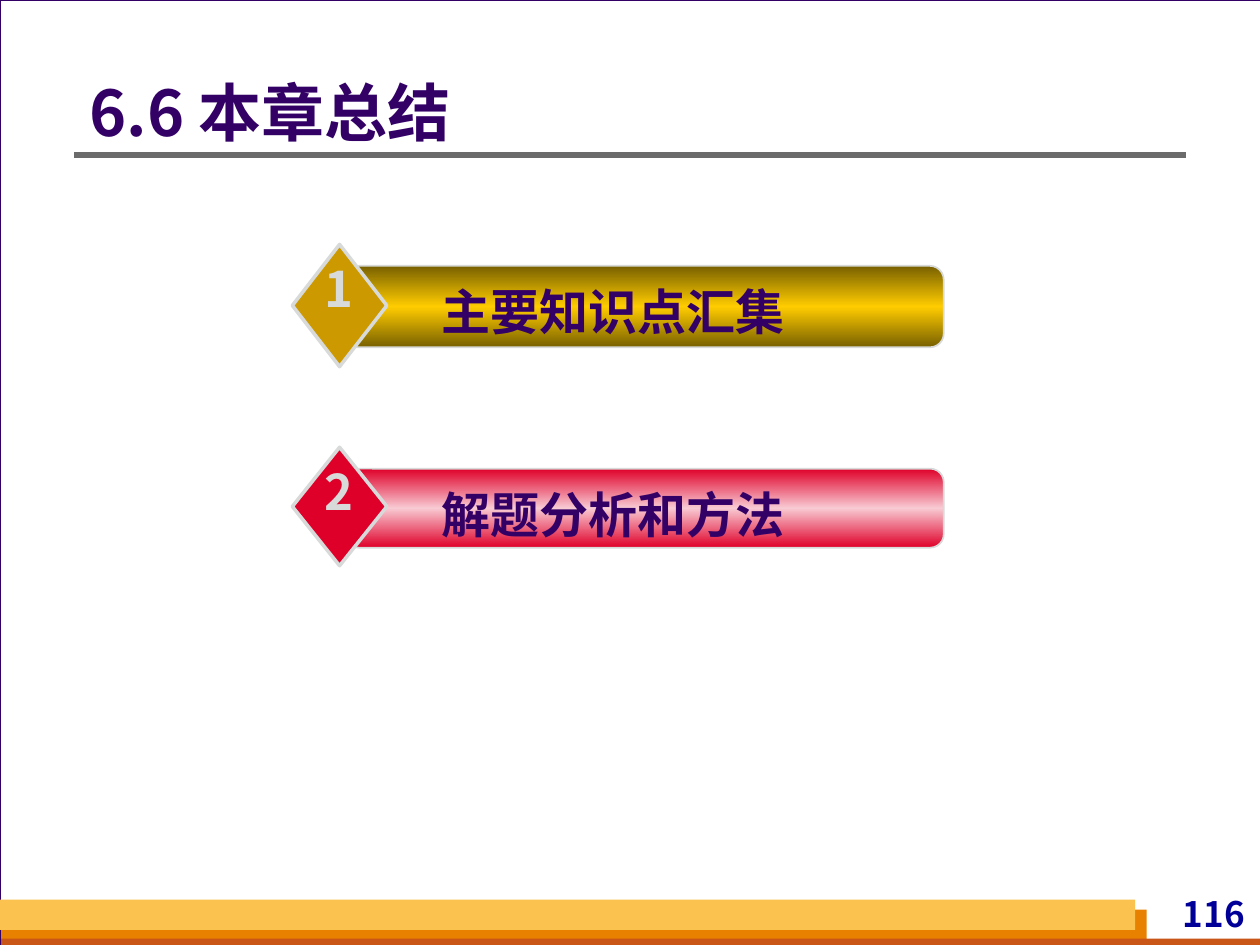
from copy import deepcopy

from lxml.etree import SubElement
from pptx import Presentation
from pptx.dml.color import RGBColor
from pptx.enum.shapes import MSO_CONNECTOR as Line, MSO_SHAPE as Shape
from pptx.enum.text import MSO_ANCHOR as Anchor, PP_ALIGN as Align
from pptx.oxml.ns import qn
from pptx.util import Inches, Pt

COLORS = {
    "backdrop": "D8DADA", "page": "FFFFFF", "ink": "330066", "number": "000099",
    "rule": "6B6B6B", "orange": "E88000", "rust": "C95616", "amber": "FCC24F",
    "gold": "CC9900", "gold_dark": "786000", "gold_light": "FFCC00",
    "red": "DF0029", "red_light": "F8CAD3",
}
FONT = "Noto Sans CJK SC"
COLUMNS, ROWS = 100, 75


def color(name):
    return RGBColor.from_string(COLORS[name])


def write(box, text, size=28, ink="ink", align=Align.LEFT, anchor=Anchor.MIDDLE,
          side=0, spacing=None):
    frame = box.text_frame
    frame.word_wrap = True
    frame.vertical_anchor = anchor
    frame.margin_left = frame.margin_right = Inches(side)
    frame.margin_top = frame.margin_bottom = 0
    paragraph = frame.paragraphs[0]
    paragraph.alignment = align
    paragraph.line_spacing = spacing
    run = paragraph.add_run()
    run.text = text
    run.font.size, run.font.bold, run.font.name = Pt(size), True, FONT
    run.font.color.rgb = color(ink)
    SubElement(run.font._element, qn("a:ea")).set("typeface", FONT)


class SummarySlide:
    """Holds the slide and places elements on a grid of COLUMNS by ROWS."""

    def __init__(self, deck):
        self.slide = deck.slides.add_slide(deck.slide_layouts[6])
        self.column = deck.slide_width / COLUMNS
        self.row = deck.slide_height / ROWS
        background = self.slide.background.fill
        background.solid()
        background.fore_color.rgb = color("backdrop")

    def place(self, left, top, width, height):
        return (round(left * self.column), round(top * self.row),
                round(width * self.column), round(height * self.row))

    def shape(self, kind, area, fill, line=None, weight=1, parent=None):
        item = (parent or self.slide).shapes.add_shape(kind, *self.place(*area))
        item.shadow.inherit = False
        if isinstance(fill, tuple):
            self.gradient(item, fill)
        else:
            item.fill.solid()
            item.fill.fore_color.rgb = color(fill)
        if line:
            item.line.color.rgb = color(line)
            item.line.width = Pt(weight)
        else:
            item.line.fill.background()
        return item

    def gradient(self, item, names):
        item.fill.gradient()
        item.fill.gradient_angle = 90
        stops = item._element.spPr.find(qn("a:gradFill")).find(qn("a:gsLst"))
        while len(stops) < len(names):
            stops.append(deepcopy(stops[0]))
        for index, (stop, name) in enumerate(zip(item.fill.gradient_stops, names)):
            stop.color.rgb = color(name)
            stop.position = index / (len(names) - 1)

    def text(self, area, text, parent=None, **style):
        box = (parent or self.slide).shapes.add_textbox(*self.place(*area))
        write(box, text, **style)

    def rule(self, left, right, row, ink, weight):
        x1, y, width, _ = self.place(left, row, right - left, 0)
        line = self.slide.shapes.add_connector(Line.STRAIGHT, x1, y, x1 + width, y)
        line.line.color.rgb = color(ink)
        line.line.width = Pt(weight)
        SubElement(line._element.spPr, qn("a:effectLst"))

    def entry(self, number, label, top, height, edge, middle, badge):
        group = self.slide.shapes.add_group_shape()
        bar = self.shape(Shape.ROUNDED_RECTANGLE, (27.4, top + 1.7, 47.5, height * 2 / 3),
                         (edge, middle, edge), line="backdrop", parent=group)
        bar.adjustments[0] = 0.17
        self.shape(Shape.DIAMOND, (23.2, top, 7.5, height), badge,
                   line="backdrop", weight=2, parent=group)
        self.text((29.9, top + 2.95, 37.5, 4.7), label, parent=group, align=Align.CENTER)
        self.text((24.9, top + 1.1, 4, 4.7), str(number), parent=group,
                  ink="backdrop", align=Align.CENTER)


def main():
    deck = Presentation()
    deck.slide_width, deck.slide_height = Inches(10), Inches(7.5)
    summary = SummarySlide(deck)

    # Page and footer bands
    summary.shape(Shape.RECTANGLE, (0, 0, 100.1, 75), "page", line="ink", weight=0.75)
    for area, fill in (((0.1, 72.2, 90.9, 2.8), "orange"),
                       ((0.1, 74.5, 100, 0.8), "rust"),
                       ((0, 71.4, 90.1, 2.4), "amber")):
        summary.shape(Shape.RECTANGLE, area, fill)
    summary.text((87, 70.8, 12.2, 3.3), "116", size=20, ink="number",
                 align=Align.RIGHT, anchor=Anchor.TOP, side=0.04)

    # Title and its rule
    summary.rule(5.9, 94.1, 12.3, "rule", 3)
    summary.text((6.7, 5.3, 86.8, 7.8), "6.6 本章总结", size=36, side=0.04, spacing=0.9)

    # Numbered entries
    entries = (("主要知识点汇集", 9.7, "gold_dark", "gold_light", "gold"),
               ("解题分析和方法", 9.4, "red", "red_light", "red"))
    for index, (label, height, edge, middle, badge) in enumerate(entries):
        summary.entry(index + 1, label, 19.4 + 16.1 * index, height, edge, middle, badge)

    deck.save("out.pptx")


if __name__ == "__main__":
    main()
